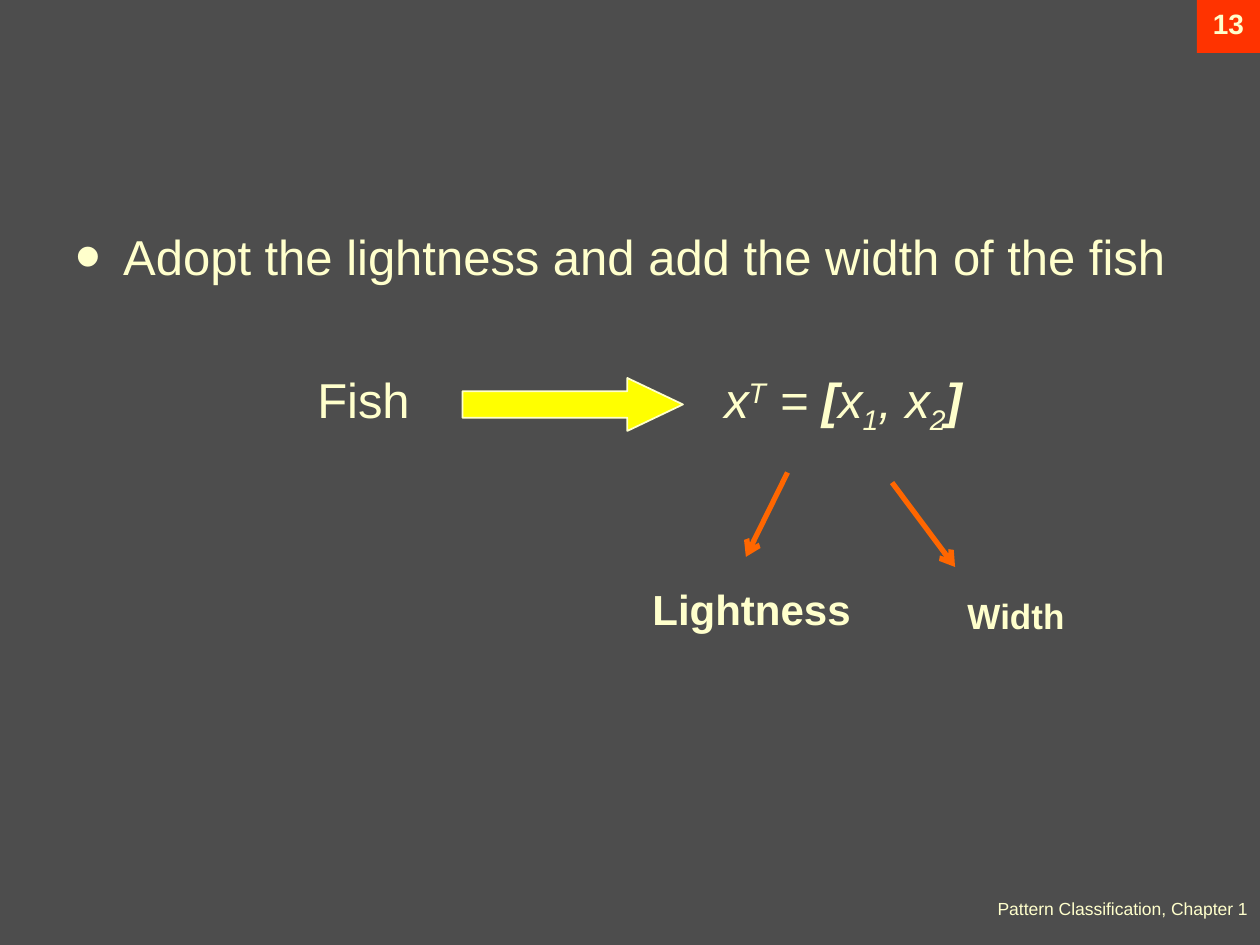
from lxml import etree
from pptx import Presentation
from pptx.dml.color import RGBColor
from pptx.enum.shapes import MSO_CONNECTOR, MSO_SHAPE
from pptx.enum.text import MSO_ANCHOR, PP_ALIGN
from pptx.oxml.ns import qn
from pptx.util import Inches, Pt

WIDTH, HEIGHT = 10, 7.5
FONT = "Arial"
GREY = RGBColor(0x4D, 0x4D, 0x4D)
CREAM = RGBColor(0xFF, 0xFF, 0xCC)
RED = RGBColor(0xFF, 0x33, 0x00)
YELLOW = RGBColor(0xFF, 0xFF, 0x00)
ORANGE = RGBColor(0xFF, 0x66, 0x00)
RECTANGLE, RIGHT_ARROW = MSO_SHAPE.RECTANGLE, MSO_SHAPE.RIGHT_ARROW
STRAIGHT = MSO_CONNECTOR.STRAIGHT
TOP = MSO_ANCHOR.TOP
LEFT, CENTER, RIGHT = PP_ALIGN.LEFT, PP_ALIGN.CENTER, PP_ALIGN.RIGHT

# Formula runs: text, bold, baseline shift in thousandths of a percent
FORMULA = [("x", False, 0), ("T", False, 30000), (" = ", False, 0),
           ("[", True, 0), ("x", False, 0), ("1", False, -25000),
           (", x", False, 0), ("2", False, -25000), ("]", True, 0)]


def lengths(*values):
    return [Inches(value) for value in values]


def add_element(parent, tag, **attributes):
    return etree.SubElement(parent, qn(tag), attributes)


def style_paragraph(para, size, bold=False, align=LEFT):
    para.alignment = align
    para.font.name, para.font.size = FONT, Pt(size)
    para.font.bold = bold
    para.font.color.rgb = CREAM


def add_text(page, area, text, size, bold=False, align=LEFT):
    box = page.shapes.add_textbox(*lengths(*area))
    box.text_frame.word_wrap = True
    para = box.text_frame.paragraphs[0]
    para.text = text
    style_paragraph(para, size, bold, align)


def add_block(page, preset, area, fill):
    block = page.shapes.add_shape(preset, *lengths(*area))
    block.shadow.inherit = False
    block.fill.solid()
    block.fill.fore_color.rgb = fill
    block.line.fill.background()
    return block


def add_pointer(page, start, end):
    pointer = page.shapes.add_connector(STRAIGHT, *lengths(*start, *end))
    pointer.line.color.rgb = ORANGE
    pointer.line.width = Pt(3)
    props = pointer._element.spPr
    add_element(props.get_or_add_ln(), "a:tailEnd", type="arrow")
    add_element(props, "a:effectLst")


def add_body(page):
    box = page.shapes.add_textbox(*lengths(0.5, 1.75, 9.17, 4))
    frame = box.text_frame
    frame.word_wrap = True

    # Bulleted statement
    para = frame.paragraphs[0]
    para.text = "Adopt the lightness and add the width of the fish"
    props = para._p.get_or_add_pPr()
    props.set("marL", str(Inches(0.38)))
    props.set("indent", str(-Inches(0.38)))
    colour = add_element(props, "a:buClr")
    add_element(colour, "a:srgbClr", val=str(CREAM))
    add_element(props, "a:buSzPct", val="150000")
    add_element(props, "a:buFont", typeface=FONT)
    add_element(props, "a:buChar", char="•")
    style_paragraph(para, 28)

    # Fish and its feature vector, each on a tab stop
    para = frame.add_paragraph()
    para.space_before = Pt(48)
    stops = add_element(para._p.get_or_add_pPr(), "a:tabLst")
    for stop in (1.92, 5.15):
        add_element(stops, "a:tab", pos=str(Inches(stop)), algn="l")
    style_paragraph(para, 28)
    para.add_run().text = "\tFish\t"
    for text, bold, shift in FORMULA:
        span = para.add_run()
        span.text = text
        span.font.italic, span.font.bold = True, bold
        if shift:
            span.font._element.set("baseline", str(shift))


def main():
    deck = Presentation()
    deck.slide_width, deck.slide_height = lengths(WIDTH, HEIGHT)
    page = deck.slides.add_slide(deck.slide_layouts[6])
    page.background.fill.solid()
    page.background.fill.fore_color.rgb = GREY

    # Footer and page number
    add_text(page, (5.67, 7.08, 4.33, 0.25),
             "Pattern Classification, Chapter 1", 10, align=RIGHT)
    badge = add_block(page, RECTANGLE, (WIDTH - 0.5, 0, 0.5, 0.42), RED)
    badge.text_frame.vertical_anchor = TOP
    number = badge.text_frame.paragraphs[0]
    number.text = "13"
    style_paragraph(number, 16, True, CENTER)

    # Statement, formula and the arrow between its halves
    add_body(page)
    arrow = add_block(page, RIGHT_ARROW, (3.67, 3, 1.75, 0.42), YELLOW)
    arrow.adjustments[1] = 1.05
    arrow.line.color.rgb = CREAM
    arrow.line.width = Pt(1)

    # Names of the two features, with room to stay on one line
    add_text(page, (5.08, 4.58, 1.85, 0.5), "Lightness", 24, True)
    add_text(page, (7.58, 4.67, 1.05, 0.44), "Width", 20, True)
    add_pointer(page, (6.25, 3.75), (5.92, 4.42))
    add_pointer(page, (7.08, 3.83), (7.58, 4.5))

    deck.save("out.pptx")


if __name__ == "__main__":
    main()
